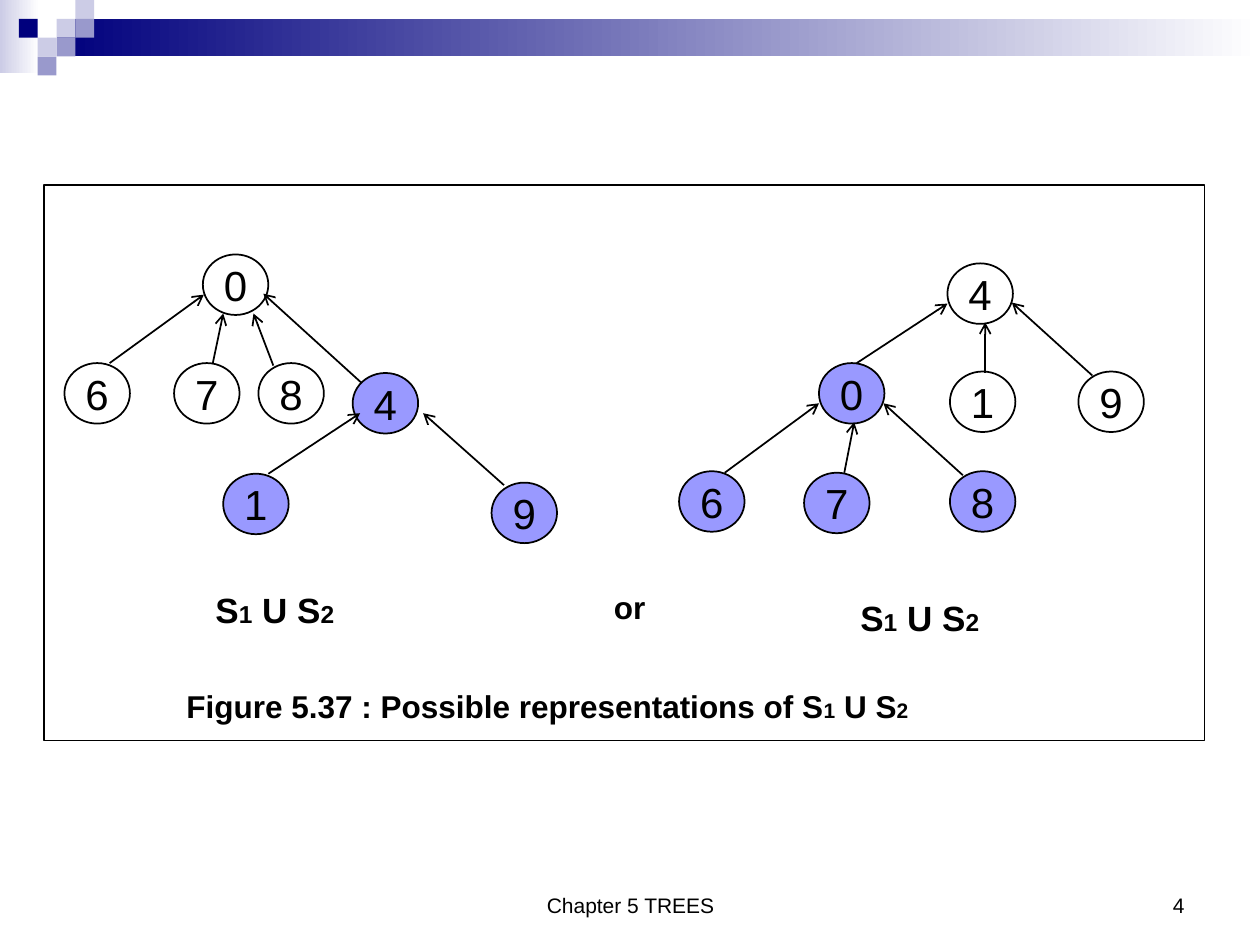
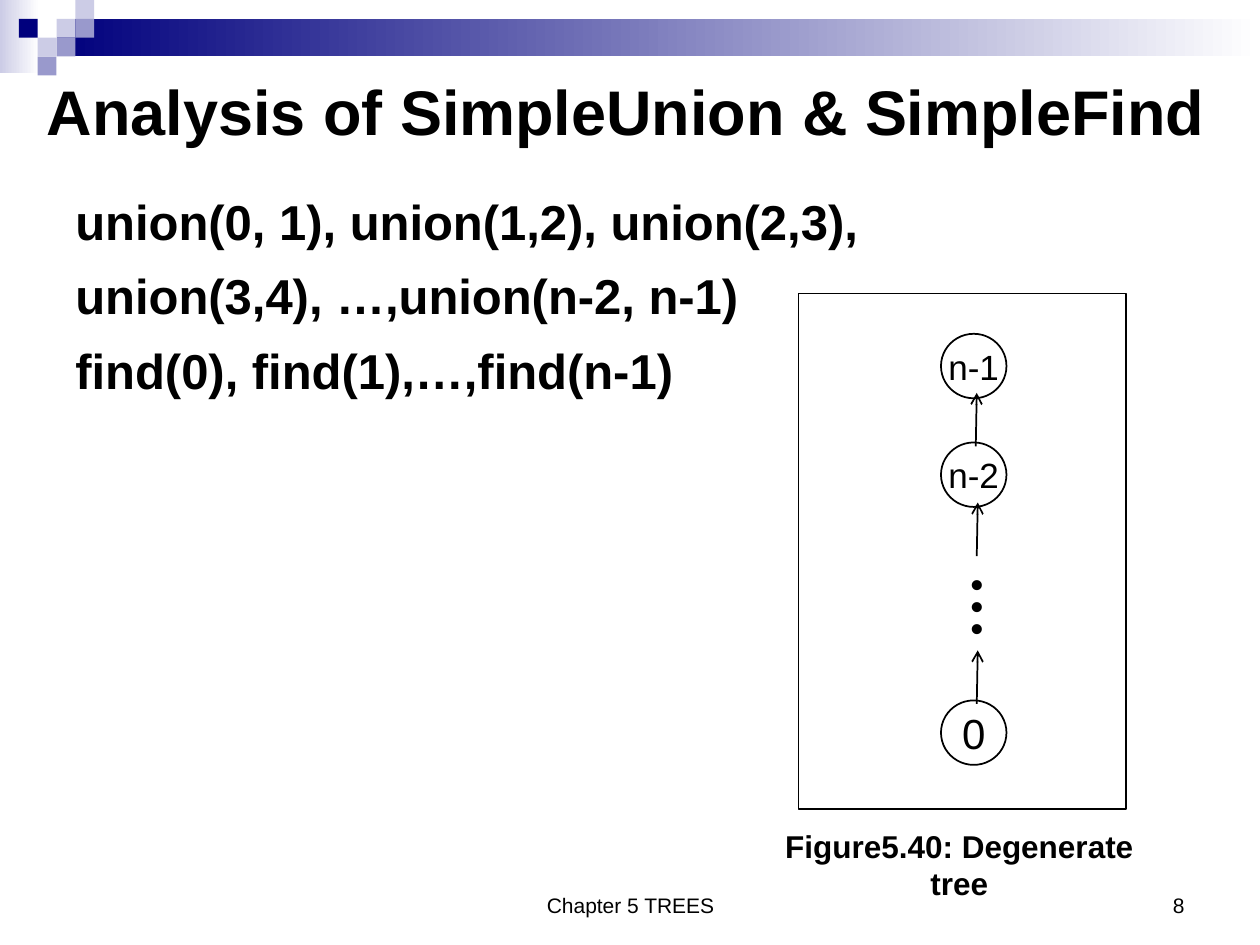
"""Build two slides on set-union trees."""
import pptx
import pptx.dml.color
import pptx.enum.dml
import pptx.enum.shapes
import pptx.enum.text
import pptx.oxml
import pptx.oxml.ns
import pptx.util
from pptx.util import Cm

Shape = pptx.enum.shapes.MSO_SHAPE
Align = pptx.enum.text.PP_ALIGN
Anchor = pptx.enum.text.MSO_ANCHOR
AutoSize = pptx.enum.text.MSO_AUTO_SIZE

BLACK, WHITE, MERGED = "000000", "FFFFFF", "9999FF"
NAVY, LAVENDER, SLATE = "00007D", "CCCCE6", "9999CC"
SQUARE = 0.38
BAND_SQUARES = [(3, 1, LAVENDER), (4, 0, LAVENDER), (4, 1, SLATE), (2, 2, LAVENDER),
                (1, 1, NAVY), (3, 2, SLATE), (2, 3, SLATE)]

ZERO_ROOTED = [
    ("0", 4.09, 5.13, WHITE, None),
    ("6", 1.3, 7.32, WHITE, (4.11, 5.94, 2.21, 7.32)),
    ("8", 5.21, 7.32, WHITE, (5.11, 6.32, 5.51, 7.37)),
    ("7", 3.51, 7.32, WHITE, (4.5, 6.32, 4.29, 7.32)),
    ("4", 7.11, 7.52, MERGED, (5.31, 5.92, 7.29, 7.72)),
    ("1", 4.5, 9.55, MERGED, (7.26, 8.33, 5.41, 9.55)),
    ("9", 9.91, 9.73, MERGED, (8.53, 8.33, 10.16, 9.78)),
]
FOUR_ROOTED = [
    ("4", 19.1, 5.31, WHITE, None),
    ("0", 16.51, 7.32, MERGED, (19.1, 6.12, 17.27, 7.32)),
    ("6", 13.69, 9.5, MERGED, (16.51, 8.13, 14.61, 9.53)),
    ("8", 19.15, 9.5, MERGED, (17.81, 8.13, 19.41, 9.58)),
    ("7", 16.21, 9.53, MERGED, (17.22, 8.51, 17.02, 9.53)),
    ("1", 19.15, 7.49, WHITE, (19.86, 6.5, 19.86, 7.52)),
    ("9", 21.74, 7.49, WHITE, (20.4, 6.1, 22.02, 7.57)),
]


def color(hex_string):
    return pptx.dml.color.RGBColor.from_string(hex_string)


class Deck:
    font = "Arial"

    def __init__(self):
        self.prs = pptx.Presentation()
        self.prs.slide_width, self.prs.slide_height = Cm(25.4), Cm(19.05)
        self.slide = None

    def new_slide(self, number, title=None):
        self.slide = self.prs.slides.add_slide(self.prs.slide_layouts[5 if title else 6])
        self.text((8.69, 17.35, 8.05, 1.27), ["Chapter 5 TREES"], 12, Align.CENTER,
                  bold=False, anchor=Anchor.BOTTOM)
        self.text((18.21, 17.35, 5.92, 1.27), [number], 12, Align.RIGHT,
                  bold=False, anchor=Anchor.BOTTOM)
        if title:
            heading = self.slide.shapes.title
            heading.left, heading.top, heading.width, heading.height = map(
                Cm, (0.69, 1.12, 24.13, 2.21))
            frame = heading.text_frame
            frame.text = title
            frame.auto_size = AutoSize.NONE
            frame.vertical_anchor = Anchor.MIDDLE
            frame.paragraphs[0].alignment = Align.LEFT
            self.style(frame.paragraphs[0].runs[0], 36, True)

    def style(self, run, size, bold=False):
        run.font.name, run.font.size, run.font.bold = self.font, pptx.util.Pt(size), bold
        run.font.color.rgb = color(BLACK)

    def shape(self, kind, box, fill=None, line=None):
        shape = self.slide.shapes.add_shape(kind, *map(Cm, box))
        shape.shadow.inherit = False
        if fill is None:
            shape.fill.background()
        elif isinstance(fill, tuple):
            shape.fill.gradient()
            shape.fill.gradient_angle = 0
            for stop, shade in zip(shape.fill.gradient_stops, fill):
                stop.color.rgb = color(shade)
        else:
            shape.fill.solid()
            shape.fill.fore_color.rgb = color(fill)
        if line is None:
            shape.line.fill.background()
        else:
            shape.line.color.rgb = color(BLACK)
            shape.line.width = pptx.util.Pt(line)
        return shape

    def master_band(self):
        pieces = [
            self.shape(Shape.RECTANGLE, (0, 0, 0.79, 1.47), (LAVENDER, WHITE)),
            self.shape(Shape.RECTANGLE, (1.14, SQUARE, 24.26, 2 * SQUARE), (NAVY, WHITE)),
        ]
        for column, row, fill in BAND_SQUARES:
            box = (column * SQUARE, row * SQUARE, SQUARE, SQUARE)
            pieces.append(self.shape(Shape.RECTANGLE, box, fill))
        for piece in pieces:
            self.prs.slide_master.shapes._spTree.append(piece._element)

    def node(self, label, left, top, fill=WHITE, height=1.22, size=24):
        circle = self.shape(Shape.OVAL, (left, top, 1.32, height), fill, 1)
        frame = circle.text_frame
        frame.text = label
        frame.word_wrap = False
        frame.vertical_anchor = Anchor.MIDDLE
        frame.paragraphs[0].alignment = Align.CENTER
        self.style(frame.paragraphs[0].runs[0], size)

    def arrow(self, tip_x, tip_y, tail_x, tail_y):
        link = self.slide.shapes.add_connector(
            pptx.enum.shapes.MSO_CONNECTOR.STRAIGHT, *map(Cm, (tip_x, tip_y, tail_x, tail_y)))
        link.line.color.rgb = color(BLACK)
        link.line.width = pptx.util.Pt(1)
        head = pptx.oxml.parse_xml(
            f'<a:headEnd {pptx.oxml.ns.nsdecls("a")} type="arrow"/>')
        link.line._get_or_add_ln().append(head)
        link._element.spPr.append(pptx.oxml.parse_xml(
            f'<a:effectLst {pptx.oxml.ns.nsdecls("a")}/>'))

    def tree(self, nodes):
        for label, left, top, fill, link in nodes:
            self.node(label, left, top, fill)
            if link:
                self.arrow(*link)

    def text(self, box, lines, size, align=Align.LEFT, bold=True, wrap=True,
             anchor=Anchor.TOP, space=0):
        frame = self.slide.shapes.add_textbox(*map(Cm, box)).text_frame
        frame.text = "\n".join(lines)
        frame.word_wrap = wrap
        frame.vertical_anchor = anchor
        frame.auto_size = AutoSize.NONE if wrap else AutoSize.SHAPE_TO_FIT_TEXT
        for index, paragraph in enumerate(frame.paragraphs):
            paragraph.alignment = align
            if index:
                paragraph.space_before = pptx.util.Pt(space)
            for run in paragraph.runs:
                self.style(run, size, bold)
        return frame

    def union_text(self, box, lead, size, small, align=Align.LEFT, wrap=False):
        paragraph = self.text(box, [lead], size, align, wrap=wrap).paragraphs[0]
        for part, part_size in (("1", small), (" U S", size), ("2", small)):
            run = paragraph.add_run()
            run.text = part
            self.style(run, part_size, True)

    def vertical_dots(self, box):
        frame = self.text(box, ["• • •"], 20, Align.CENTER, wrap=False)
        frame.margin_left = frame.margin_right = Cm(0.13)
        frame.margin_top = frame.margin_bottom = Cm(0.25)
        frame._txBody.bodyPr.set("vert", "eaVert")


def union_slide(deck):
    deck.new_slide("4")
    deck.master_band()
    deck.tree(ZERO_ROOTED)
    deck.tree(FOUR_ROOTED)
    deck.text((12.12, 11.73, 1.14, 1.02), ["or"], 18, Align.RIGHT, wrap=False)
    for left, top in ((4.09, 11.73), (17.09, 11.91)):
        deck.union_text((left, top, 2.9, 1.12), "S", 20, 14, Align.RIGHT)
    deck.shape(Shape.RECTANGLE, (0.89, 3.73, 23.39, 11.2), line=0.75)
    deck.union_text((3.51, 13.72, 16.41, 1.02),
                    "Figure 5.37 : Possible representations of S", 18, 12, wrap=True)


def analysis_slide(deck):
    deck.new_slide("8", "Analysis of SimpleUnion & SimpleFind")
    deck.text((1.27, 3.73, 22.86, 14.2),
              ["union(0, 1), union(1,2), union(2,3),",
               "union(3,4), …,union(n-2, n-1)",
               "find(0), find(1),…,find(n-1)"], 28, space=9)
    deck.shape(Shape.RECTANGLE, (16.1, 5.92, 6.6, 10.39), line=0.75)
    for label, top, size in (("n-1", 6.73, 20), ("n-2", 8.92, 20), ("0", 14.12, 24)):
        deck.node(label, 18.97, top, height=1.3, size=size)
    for tip_x, tip_y in ((19.69, 7.92), (19.71, 10.13), (19.71, 13.11)):
        deck.arrow(tip_x, tip_y, tip_x - 0.02, tip_y + 1.08)
    deck.text((14.91, 16.54, 8.86, 1.02), ["Figure5.40: Degenerate tree"], 18,
              Align.CENTER, wrap=False)
    deck.vertical_dots((18.95, 11.43, 1.35, 1.4))


def main():
    deck = Deck()
    union_slide(deck)
    analysis_slide(deck)
    deck.prs.save("out.pptx")


if __name__ == "__main__":
    main()
